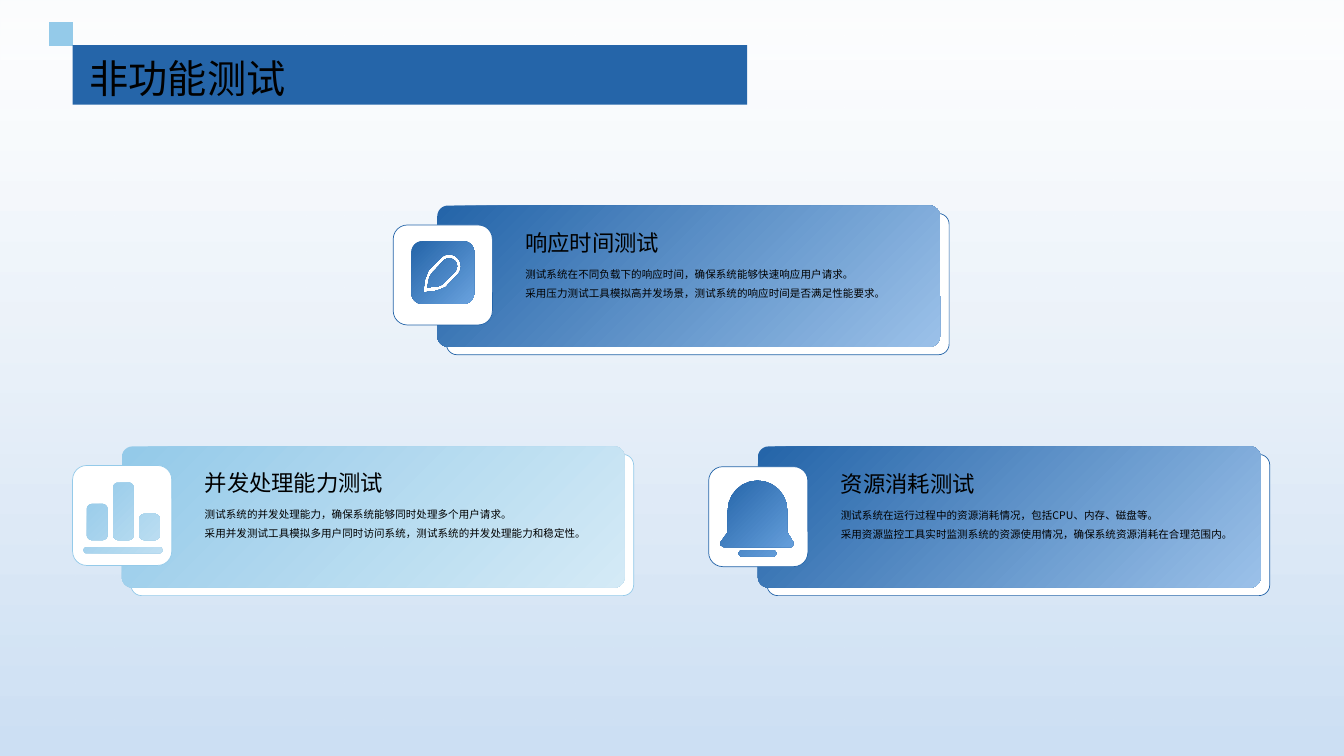
"""Build the slide on non-functional testing with three cards."""
from math import cos, radians, sin

from lxml.etree import SubElement
from pptx import Presentation
from pptx.dml.color import RGBColor
from pptx.enum.shapes import MSO_SHAPE
from pptx.enum.text import MSO_ANCHOR, MSO_AUTO_SIZE, PP_ALIGN
from pptx.oxml.ns import qn
from pptx.util import Cm, Pt

FONT = "Noto Sans CJK SC"
BLACK = RGBColor(0x00, 0x00, 0x00)
WHITE = RGBColor(0xFF, 0xFF, 0xFF)
MIST = RGBColor(0xCD, 0xE0, 0xF4)
NAVY = RGBColor(0x25, 0x65, 0xA9)
NAVY_PALE = RGBColor(0x9B, 0xC1, 0xE9)
NAVY_MID = RGBColor(0x69, 0xA2, 0xDE)
SKY = RGBColor(0x94, 0xCA, 0xE9)
SKY_PALE = RGBColor(0xD4, 0xEA, 0xF6)
SKY_MID = RGBColor(0xBF, 0xDF, 0xF2)


def arc(x, y, radius, start, end):
    steps = 12
    angles = [radians(start + (end - start) * step / steps) for step in range(steps + 1)]
    return [(x + radius * cos(angle), y + radius * sin(angle)) for angle in angles]


def write(frame, text, size, spacing):
    frame.word_wrap = True
    frame.auto_size = MSO_AUTO_SIZE.NONE
    para = frame.paragraphs[0]
    para.text = text
    para.alignment = PP_ALIGN.LEFT
    para.line_spacing = spacing
    for span in para.runs:
        span.font.size = Pt(size)
        span.font.name = FONT
        span.font.color.rgb = BLACK
        SubElement(span.font._element, qn("a:ea"), typeface=FONT)
    for line_break in para._p.findall(qn("a:br")):
        SubElement(line_break, qn("a:rPr"), sz=str(int(size * 100)))


pencil_outlines = [
    arc(1.41, 1.04, 0.3, 225, 405)
    + [(1.32, 1.57), (1.09, 1.66), (0.76, 1.7), (0.79, 1.4), (0.89, 1.14)],
    arc(1.41, 1.04, 0.2, 225, 405)
    + [(1.24, 1.5), (1.12, 1.55), (0.86, 1.57), (0.91, 1.32), (0.97, 1.22)],
]
pencil_boxes = [(0.46, 0.41, 1.58, 1.58, 0.27)]
bell_outlines = [
    arc(1.23, 1.1, 0.75, 180, 360)
    + [(1.98, 1.65), (2.13, 1.9), (2.13, 1.98), (2.08, 2.03),
       (0.38, 2.03), (0.3, 1.98), (0.3, 1.9), (0.48, 1.65)],
]
bell_boxes = [(0.76, 2.11, 0.94, 0.15, 0.07)]
bar_boxes = [(0.28, 2.06, 1.98, 0.15, 0.07)]
for order, bar_top in enumerate((0.97, 0.43, 1.22)):
    bar_boxes.append((0.36 + 0.66 * order, bar_top, 0.52, 1.88 - bar_top, 0.13))

cards = [
    (11.02, 5.18, 9.91, 5.67, (NAVY, NAVY_PALE, NAVY_MID), pencil_outlines, pencil_boxes,
     "响应时间测试",
     "测试系统在不同负载下的响应时间，确保系统能够快速响应用户请求。\v"
     "采用压力测试工具模拟高并发场景，测试系统的响应时间是否满足性能要求。"),
    (19.1, 11.25, 17.86, 11.76, (NAVY, NAVY_PALE, NAVY_MID), bell_outlines, bell_boxes,
     "资源消耗测试",
     "测试系统在运行过程中的资源消耗情况，包括CPU、内存、磁盘等。\v"
     "采用资源监控工具实时监测系统的资源使用情况，确保系统资源消耗在合理范围内。"),
    (3.07, 11.25, 1.83, 11.73, (SKY, SKY_PALE, SKY_MID), [], bar_boxes,
     "并发处理能力测试",
     "测试系统的并发处理能力，确保系统能够同时处理多个用户请求。\v"
     "采用并发测试工具模拟多用户同时访问系统，测试系统的并发处理能力和稳定性。"),
]

deck = Presentation()
deck.slide_width = Cm(33.87)
deck.slide_height = Cm(19.05)
page = deck.slides.add_slide(deck.slide_layouts[5])
shapes = page.shapes
gradients = [(page.background.fill, WHITE, MIST, 0.85, 90)]

veils = [(WHITE, WHITE, 0.85, 90, 1, 75000), (WHITE, MIST, 0, 270, 0, 77000)]
veil_shapes = []
for first, last, begin, angle, clear_stop, alpha in veils:
    veil = shapes.add_shape(MSO_SHAPE.RECTANGLE, 0, 0, deck.slide_width, deck.slide_height)
    veil.line.fill.background()
    veil.shadow.inherit = False
    gradients.append((veil.fill, first, last, begin, angle))
    veil_shapes.append((veil, clear_stop, alpha))

for left, top, tile_left, tile_top, colors, outlines, boxes, heading, details in cards:
    main, pale, mid = colors
    panels = [
        (left + 0.23, top + 0.2, 12.67, 3.56, 0.076, False),
        (left, top, 12.67, 3.56, 0.076, True),
        (tile_left, tile_top, 2.5, 2.52, 0.143, False),
    ]
    for x, y, width, height, rounding, shaded in panels:
        panel = shapes.add_shape(MSO_SHAPE.ROUNDED_RECTANGLE, Cm(x), Cm(y), Cm(width), Cm(height))
        panel.adjustments[0] = rounding
        panel.shadow.inherit = False
        if shaded:
            panel.line.fill.background()
            gradients.append((panel.fill, main, pale, 0.01, 315))
        else:
            panel.fill.solid()
            panel.fill.fore_color.rgb = WHITE
            panel.line.color.rgb = main
            panel.line.width = Pt(0.5)

    contours = list(outlines)
    for x, y, width, height, radius in boxes:
        near_x, far_x = x + radius, x + width - radius
        near_y, far_y = y + radius, y + height - radius
        contours.append(
            arc(near_x, near_y, radius, 180, 270) + arc(far_x, near_y, radius, 270, 360)
            + arc(far_x, far_y, radius, 0, 90) + arc(near_x, far_y, radius, 90, 180))
    builder = None
    for contour in contours:
        points = [((tile_left + x) * 1000, (tile_top + y) * 1000) for x, y in contour]
        if builder is None:
            builder = shapes.build_freeform(*points[0], scale=Cm(0.001))
        else:
            builder.move_to(*points[0])
        builder.add_line_segments(points[1:], close=True)
    icon = builder.convert_to_shape()
    icon.line.fill.background()
    icon.shadow.inherit = False
    gradients.append((icon.fill, main, mid, 0.01, 315))

    text_left = Cm(tile_left + 3.08)
    box = shapes.add_textbox(text_left, Cm(tile_top - 0.23), Cm(10.5), Cm(1.12))
    write(box.text_frame, heading, 16, 1.3)
    box = shapes.add_textbox(text_left, Cm(tile_top + 0.79), Cm(10.5), Cm(2))
    write(box.text_frame, details, 7.5, 1.5)

for fill, first, last, begin, angle in gradients:
    fill.gradient()
    fill.gradient_angle = angle
    for stop, color, position in zip(fill.gradient_stops, (first, last), (begin, 1)):
        stop.color.rgb = color
        stop.position = position
for veil, clear_stop, alpha in veil_shapes:
    stop_colors = list(veil.element.spPr.iter(qn("a:srgbClr")))
    SubElement(stop_colors[clear_stop], qn("a:alpha"), val=str(alpha))

for x, y, width, height, color in ((1.24, 0.56, 0.6, 0.6, SKY), (1.83, 1.14, 17, 1.5, NAVY)):
    banner = shapes.add_shape(MSO_SHAPE.RECTANGLE, Cm(x), Cm(y), Cm(width), Cm(height))
    banner.fill.solid()
    banner.fill.fore_color.rgb = color
    banner.line.fill.background()
    banner.shadow.inherit = False

title = shapes.title
title.left, title.top, title.width, title.height = Cm(2.26), Cm(1.24), Cm(29.72), Cm(1.3)
frame = title.text_frame
frame.margin_left = frame.margin_right = frame.margin_top = frame.margin_bottom = 0
frame.vertical_anchor = MSO_ANCHOR.MIDDLE
write(frame, "非功能测试", 28, 1.1)
title.element.getparent().append(title.element)

deck.save("out.pptx")
